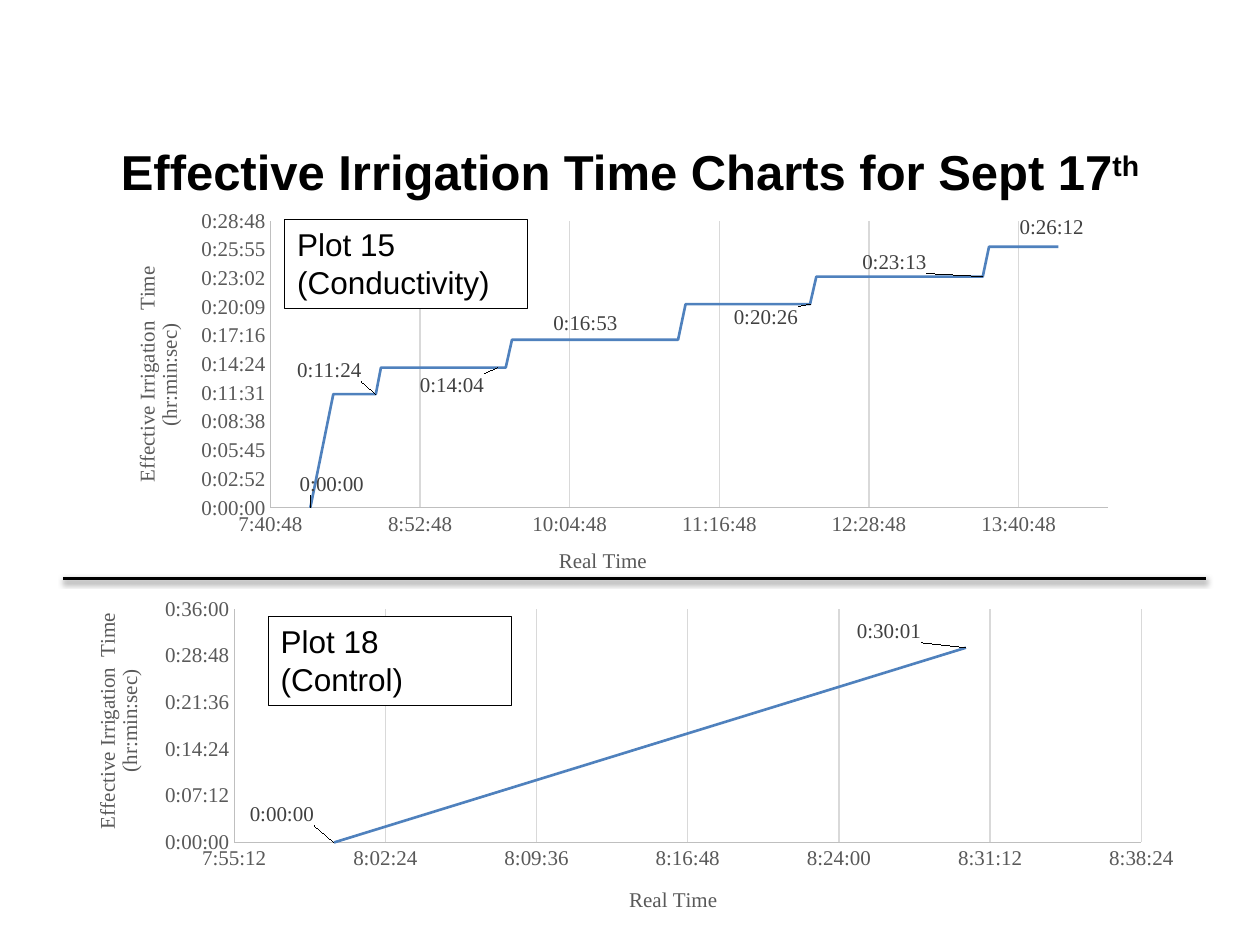
from lxml import etree
from pptx import Presentation
from pptx import util as u
from pptx.chart.data import XyChartData
from pptx.dml.color import RGBColor
from pptx.enum import chart as c
from pptx.enum import shapes, text
from pptx.oxml import parse_xml
from pptx.oxml.ns import nsdecls, qn

BLACK = RGBColor(0x00, 0x00, 0x00)
WHITE = RGBColor(0xFF, 0xFF, 0xFF)
BLUE = RGBColor(0x4F, 0x81, 0xBD)
AXIS_TEXT = RGBColor(0x59, 0x59, 0x59)
LABEL_TEXT = RGBColor(0x40, 0x40, 0x40)
AXIS_LINE = RGBColor(0xBF, 0xBF, 0xBF)
GRID_LINE = RGBColor(0xD9, 0xD9, 0xD9)
TIME_FORMAT = "h:mm:ss"
SERIF = "Times New Roman"


def add_text(paragraph, words, size=12, color=BLACK, font="Arial", bold=False):
    run = paragraph.add_run()
    run.text = words
    run.font.size = u.Pt(size)
    run.font.name = font
    run.font.bold = bold
    run.font.color.rgb = color
    return run


def manual_layout(inner=False, **fractions):
    """Return a c:layout element; x and y alone move a title or a label."""
    parts = '<c:layoutTarget val="inner"/>' if inner else ""
    if inner or fractions.pop("edge", False):
        parts += '<c:xMode val="edge"/><c:yMode val="edge"/>'
    parts += "".join(f'<c:{key} val="{value}"/>' for key, value in fractions.items())
    return parse_xml(f'<c:layout {nsdecls("c")}><c:manualLayout>{parts}</c:manualLayout></c:layout>')


def_minutes = 24 * 60
PLOTS = [
    {
        "name": "Plot 15 (Conductivity)", "box": (2.26, 1.74), "top": 1.64, "height": 2.95,
        "plot": {"x": 0.183, "y": 0.039, "w": 0.739, "h": 0.774},
        "x_scale": (0.32, 0.6, 0.05), "y_scale": (0, 0.02, 0.002),
        "x_title": (0.434, 0.909), "y_title": (0.059, 0.153),
        # clock times of the points, in minutes after midnight
        "minutes": [480, 491, 492, 511.5, 514, 570, 574, 577, 633, 657,
                    660.5, 716, 720.5, 723.5, 778, 803.5, 806.5, 812, 840],
        "values": [0] + [value for value in (0.007928, 0.00978, 0.011725, 0.014201,
                                             0.016123, 0.018206) for _ in range(3)],
        # point number: shift of its label, as a fraction of the chart
        "labels": {0: (0.019, -0.02), 3: (-0.041, -0.02), 5: (-0.04, 0.09), 8: (-0.038, 0),
                   12: (-0.039, 0.08), 15: (-0.078, 0.005), 18: (-0.006, -0.01)},
    },
    {
        "name": "Plot 18 (Control)", "box": (2.13, 4.89), "top": 4.69, "height": 2.71,
        "plot": {"x": 0.151, "y": 0.053, "w": 0.8, "h": 0.684},
        "x_scale": (0.33, 0.36, 0.005), "y_scale": (0, 0.025, 0.005),
        "x_title": (0.496, 0.856), "y_title": (0.024, 0.053),
        "minutes": [480, 510], "values": [0, 0.020856],
        "labels": {0: (-0.046, -0.035), 1: (-0.068, 0)},
    },
]

presentation = Presentation()
presentation.slide_width = u.Inches(10)
presentation.slide_height = u.Inches(7.5)
slide = presentation.slides.add_slide(presentation.slide_layouts[6])

title = slide.shapes.add_textbox(u.Inches(0.5), u.Inches(0.92), u.Inches(9), u.Inches(0.88))
title.text_frame.word_wrap = True
title.text_frame.vertical_anchor = text.MSO_ANCHOR.MIDDLE
heading = title.text_frame.paragraphs[0]
heading.alignment = text.PP_ALIGN.CENTER
add_text(heading, "Effective Irrigation Time Charts for Sept 17", size=28, bold=True)
suffix = add_text(heading, "th", size=28, bold=True)
suffix.font._element.set("baseline", "30000")

for plot in PLOTS:
    data = XyChartData(number_format=TIME_FORMAT)
    points = data.add_series("Effective Irrigation Time")
    for minute, value in zip(plot["minutes"], plot["values"]):
        points.add_data_point(round(minute / def_minutes, 4), value)
    chart = slide.shapes.add_chart(
        c.XL_CHART_TYPE.XY_SCATTER_LINES_NO_MARKERS, u.Inches(0.5), u.Inches(plot["top"]),
        u.Inches(9), u.Inches(plot["height"]), data).chart
    chart.has_legend = False
    chart.has_title = False
    chart.font.name = SERIF
    chart.font.size = u.Pt(12)
    chart.plots[0].vary_by_categories = False
    plot_area = chart._chartSpace.chart.plotArea
    for layout in plot_area.findall(qn("c:layout")):
        plot_area.remove(layout)
    plot_area.insert(0, manual_layout(inner=True, **plot["plot"]))

    for axis, scale, words, place in (
            (chart.category_axis, plot["x_scale"], "Real Time", plot["x_title"]),
            (chart.value_axis, plot["y_scale"], "Effective Irrigation  Time (hr:min:sec)",
             plot["y_title"])):
        axis.minimum_scale, axis.maximum_scale, axis.major_unit = scale
        axis.major_tick_mark = axis.minor_tick_mark = c.XL_TICK_MARK.NONE
        axis.format.line.color.rgb = AXIS_LINE
        axis.format.line.width = u.Pt(0.75)
        axis.tick_labels.number_format = TIME_FORMAT
        axis.tick_labels.number_format_is_linked = False
        axis.tick_labels.font.size = u.Pt(12)
        axis.tick_labels.font.name = SERIF
        axis.tick_labels.font.color.rgb = AXIS_TEXT
        frame = axis.axis_title.text_frame
        add_text(frame.paragraphs[0], words, color=AXIS_TEXT, font=SERIF).font.bold = False
        title_element = axis.axis_title._element
        for layout in title_element.findall(qn("c:layout")):
            title_element.remove(layout)
        title_element.find(qn("c:tx")).addnext(manual_layout(edge=True, x=place[0], y=place[1]))
    frame._txBody.bodyPr.set("rot", "-5400000")
    frame._txBody.bodyPr.set("vert", "horz")
    chart.value_axis.has_major_gridlines = False
    chart.category_axis.has_major_gridlines = True
    grid = chart.category_axis.major_gridlines.format.line
    grid.color.rgb = GRID_LINE
    grid.width = u.Pt(0.75)

    series = chart.plots[0].series[0]
    series.smooth = False
    series.marker.style = c.XL_MARKER_STYLE.NONE
    series.format.line.color.rgb = BLUE
    series.format.line.width = u.Pt(1.5)
    for number, (shift_x, shift_y) in plot["labels"].items():
        label = series.points[number].data_label
        label.font.size = u.Pt(12)
        label.font.name = SERIF
        label.font.color.rgb = LABEL_TEXT
        label.position = c.XL_LABEL_POSITION.ABOVE
    all_labels = series._element.find(qn("c:dLbls"))
    all_labels.find(qn("c:showVal")).set("val", "0")
    for element, (shift_x, shift_y) in zip(all_labels.findall(qn("c:dLbl")),
                                           plot["labels"].values()):
        layout = manual_layout(x=shift_x, y=shift_y)
        element.find(qn("c:idx")).addnext(layout)
        number_format = etree.Element(qn("c:numFmt"), formatCode=TIME_FORMAT, sourceLinked="0")
        layout.addnext(number_format)

    left, top = plot["box"]
    box = slide.shapes.add_shape(shapes.MSO_SHAPE.RECTANGLE, u.Inches(left), u.Inches(top),
                                 u.Inches(1.93), u.Inches(0.71))
    box.shadow.inherit = False
    box.fill.solid()
    box.fill.fore_color.rgb = WHITE
    box.line.color.rgb = BLACK
    box.line.width = u.Pt(0.75)
    box.text_frame.word_wrap = True
    box.text_frame.vertical_anchor = text.MSO_ANCHOR.TOP
    box.text_frame.paragraphs[0].alignment = text.PP_ALIGN.LEFT
    add_text(box.text_frame.paragraphs[0], plot["name"], size=18)

divider = slide.shapes.add_connector(shapes.MSO_CONNECTOR.STRAIGHT, u.Inches(0.5),
                                     u.Inches(4.59), u.Inches(9.57), u.Inches(4.59))
divider.line.color.rgb = BLACK
divider.line.width = u.Pt(2)
divider._element.spPr.append(parse_xml(
    f'<a:effectLst {nsdecls("a")}><a:outerShdw blurRad="40000" dist="20000" dir="5400000" '
    'rotWithShape="0"><a:srgbClr val="000000"><a:alpha val="38000"/></a:srgbClr>'
    '</a:outerShdw></a:effectLst>'))

presentation.save("out.pptx")
